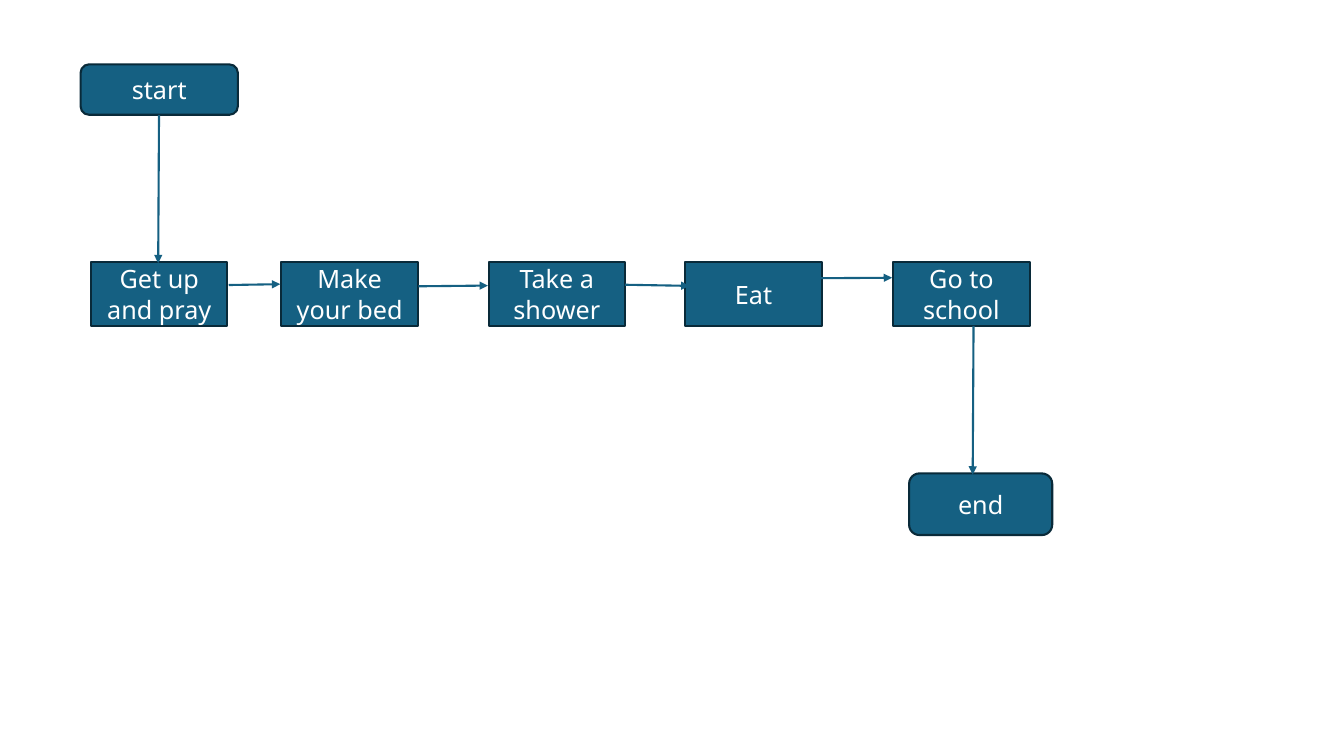
"""Builds a flowchart slide of a morning routine."""
from lxml import etree
from pptx import Presentation
from pptx.dml.color import RGBColor
from pptx.enum.shapes import MSO_CONNECTOR, MSO_SHAPE
from pptx.enum.text import MSO_ANCHOR, PP_ALIGN
from pptx.oxml.ns import qn
from pptx.util import Pt

RECTANGLE = MSO_SHAPE.RECTANGLE
ROUNDED = MSO_SHAPE.ROUNDED_RECTANGLE
STRAIGHT = MSO_CONNECTOR.STRAIGHT
MIDDLE = MSO_ANCHOR.MIDDLE
CENTER = PP_ALIGN.CENTER


def color(value):
    return RGBColor.from_string(value)


class Flowchart:
    font = "Noto Sans"
    text_size = 18
    text_color = "FFFFFF"
    fill = "156082"
    outline = "092A39"
    line_width = 1.5

    def __init__(self, page):
        self.page = page

    def box(self, kind, text, left, top, width, height):
        shape = self.page.shapes.add_shape(
            kind, Pt(left), Pt(top), Pt(width), Pt(height))
        shape.shadow.inherit = False
        shape.fill.solid()
        shape.fill.fore_color.rgb = color(self.fill)
        shape.line.color.rgb = color(self.outline)
        shape.line.width = Pt(self.line_width)
        frame = shape.text_frame
        frame.text = text
        frame.word_wrap = True
        frame.vertical_anchor = MIDDLE
        para = frame.paragraphs[0]
        para.alignment = CENTER
        span = para.runs[0]
        span.font.name = self.font
        span.font.size = Pt(self.text_size)
        span.font.color.rgb = color(self.text_color)

    def arrow(self, x1, y1, x2, y2):
        connector = self.page.shapes.add_connector(
            STRAIGHT, Pt(x1), Pt(y1), Pt(x2), Pt(y2))
        connector.line.color.rgb = color(self.fill)
        connector.line.width = Pt(self.line_width)
        outline = connector.line._get_or_add_ln()
        etree.SubElement(outline, qn("a:tailEnd"), type="triangle")
        etree.SubElement(connector._element.spPr, qn("a:effectLst"))


def main():
    deck = Presentation()
    deck.slide_width, deck.slide_height = Pt(960), Pt(540)
    chart = Flowchart(deck.slides.add_slide(deck.slide_layouts[6]))

    steps = [
        ("Get up and pray", 65),
        ("Make your bed", 201),
        ("Take a shower", 349),
        ("Eat", 489.5),
        ("Go to school", 638),
    ]
    chart.box(ROUNDED, "start", 57.6, 46, 112.3, 36)
    for text, left in steps:
        chart.box(RECTANGLE, text, left, 187.2, 97.5, 45.5)
    chart.box(ROUNDED, "end", 649.4, 338.2, 102.2, 44)

    arrows = [
        (113.6, 82, 113, 188),
        (695.4, 232.7, 694.8, 339),
        (446.4, 203.4, 492.5, 204.2),
        (298.8, 204.5, 348.5, 204),
        (163.4, 203.6, 200.2, 203),
        (573.8, 198.8, 637.2, 198.4),
    ]
    for ends in arrows:
        chart.arrow(*ends)
    deck.save("out.pptx")


if __name__ == "__main__":
    main()
